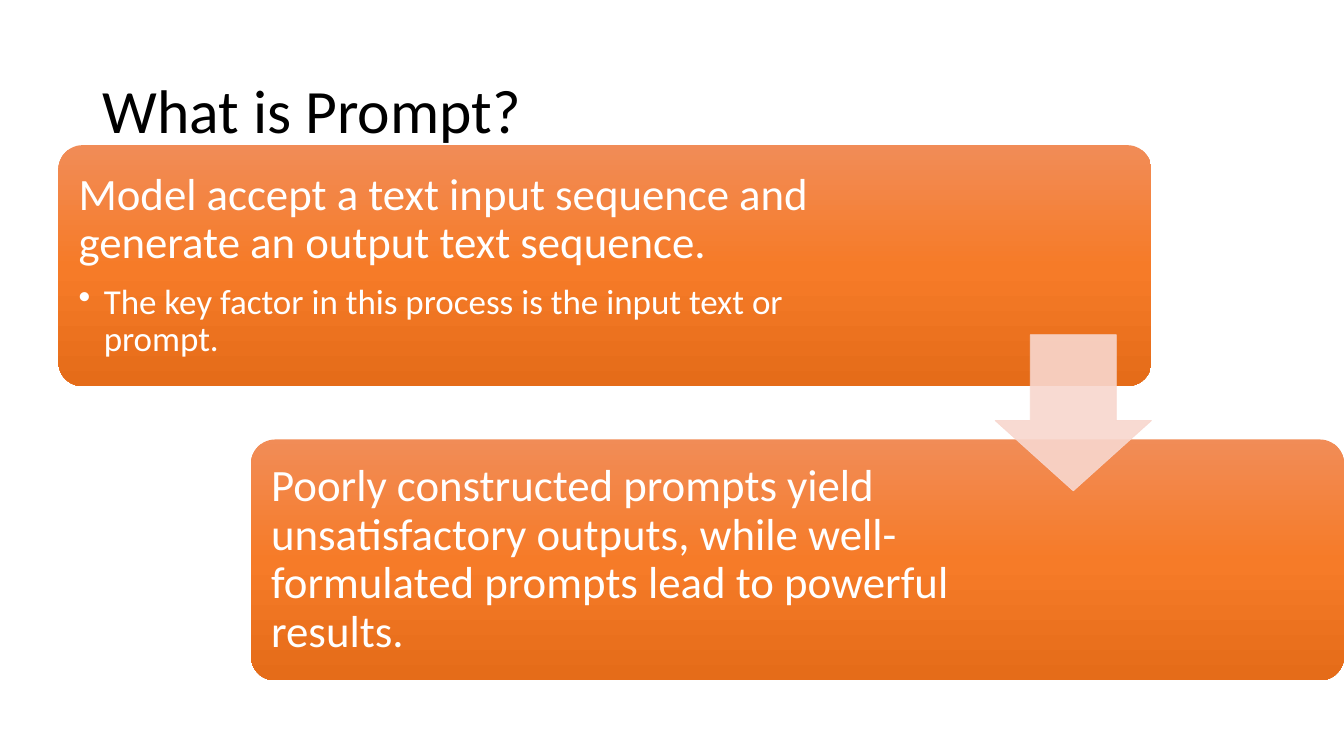
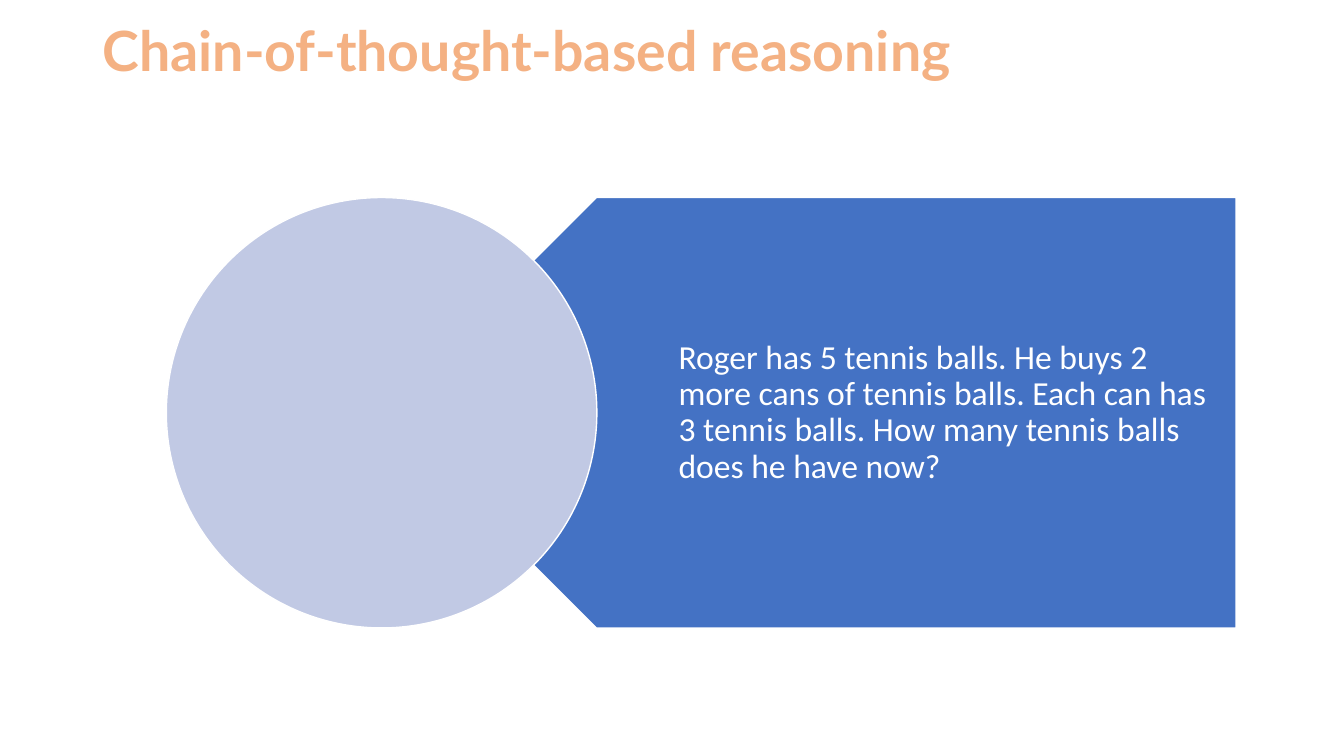
"""Build two slides on prompts and chain-of-thought reasoning."""
from copy import deepcopy
from dataclasses import dataclass

from lxml.etree import SubElement
from pptx import Presentation
from pptx.dml.color import RGBColor
from pptx.enum.shapes import MSO_SHAPE
from pptx.enum.text import MSO_ANCHOR, PP_ALIGN
from pptx.oxml.ns import qn
from pptx.util import Inches, Pt

COLORS = {
    "black": "000000", "white": "FFFFFF", "peach": "F4B183",
    "orange_light": "F18C57", "orange": "F67B28", "orange_dark": "E56C19",
    "arrow": "F8D7CE", "blue": "4472C4", "circle": "C1C9E4",
}
CARD_GRADIENT = ("orange_light", "orange", "orange_dark")
CARD_SIZE = (10.84, 2.39)
TITLE_INSETS = (0.1, 0.05, 0.1, 0.05)


@dataclass(frozen=True)
class TextLine:
    text: str
    size: float
    color: str = "white"
    font: str = "Calibri"
    bold: bool = False
    bullet: bool = False
    space_after: float = 0


@dataclass(frozen=True)
class Card:
    left: float
    top: float
    right_inset: float
    lines: tuple[TextLine, ...]


CARDS = (
    Card(0.58, 1.44, 2.46, (
        TextLine("Model accept a text input sequence and generate an output "
                 "text sequence.", 32, space_after=11),
        TextLine("The key factor in this process is the input text or prompt.",
                 25, bullet=True),
    )),
    Card(2.49, 4.36, 3.59, (
        TextLine("Poorly constructed prompts yield unsatisfactory outputs, "
                 "while well-formulated prompts lead to powerful results.", 32),
    )),
)


def rgb(name: str) -> RGBColor:
    return RGBColor.from_string(COLORS[name])


def set_all(target, values: dict) -> None:
    for name, value in values.items():
        setattr(target, name, value)


def add_bullet(paragraph) -> None:
    properties = paragraph._p.get_or_add_pPr()
    properties.set("marL", str(Inches(0.25)))
    properties.set("indent", str(Inches(-0.25)))
    SubElement(properties, qn("a:buChar")).set("char", "•")


def write_lines(shape, lines: tuple[TextLine, ...], insets: tuple) -> None:
    left, top, right, bottom = map(Inches, insets)
    frame = shape.text_frame
    set_all(frame, {
        "word_wrap": True, "vertical_anchor": MSO_ANCHOR.MIDDLE,
        "margin_left": left, "margin_top": top,
        "margin_right": right, "margin_bottom": bottom,
    })
    for index, line in enumerate(lines):
        paragraph = frame.add_paragraph() if index else frame.paragraphs[0]
        set_all(paragraph, {
            "text": line.text, "alignment": PP_ALIGN.LEFT,
            "line_spacing": 0.9, "space_after": Pt(line.space_after),
        })
        if line.bullet:
            add_bullet(paragraph)
        font = paragraph.runs[0].font
        set_all(font, {"name": line.font, "size": Pt(line.size), "bold": line.bold})
        font.color.rgb = rgb(line.color)


def add_text(slide, box: tuple, line: TextLine, insets: tuple) -> None:
    write_lines(slide.shapes.add_textbox(*map(Inches, box)), (line,), insets)


def add_figure(slide, kind: MSO_SHAPE, box: tuple, fill: str | None = None,
               line: str | None = None, width: float = 1):
    shape = slide.shapes.add_shape(kind, *map(Inches, box))
    shape.shadow.inherit = False
    if fill:
        shape.fill.solid()
        shape.fill.fore_color.rgb = rgb(fill)
    if line:
        shape.line.color.rgb = rgb(line)
        shape.line.width = Pt(width)
    else:
        shape.line.fill.background()
    return shape


def fill_gradient(shape, names: tuple[str, ...]) -> None:
    shape.fill.gradient()
    shape.fill.gradient_angle = 270
    stop_list = shape._element.spPr.find(".//" + qn("a:gsLst"))
    stop_list.append(deepcopy(stop_list[-1]))
    for index, (stop, name) in enumerate(zip(shape.fill.gradient_stops, names)):
        stop.position = index / (len(names) - 1)
        stop.color.rgb = rgb(name)


def set_opacity(shape, percent: int) -> None:
    for color in shape._element.spPr.iter(qn("a:srgbClr")):
        SubElement(color, qn("a:alpha")).set("val", str(percent * 1000))


def add_card(slide, card: Card) -> None:
    shape = add_figure(slide, MSO_SHAPE.ROUNDED_RECTANGLE,
                       (card.left, card.top, *CARD_SIZE))
    shape.adjustments[0] = 0.1
    fill_gradient(shape, CARD_GRADIENT)
    write_lines(shape, card.lines, (0.13, 0.13, card.right_inset, 0.13))


def add_titled_slide(presentation, title: TextLine, top: float, height: float):
    slide = presentation.slides.add_slide(presentation.slide_layouts[6])
    add_text(slide, (0.92, top, 11.5, height), title, TITLE_INSETS)
    return slide


def build_prompt_slide(presentation) -> None:
    title = TextLine("What is Prompt?", 44, "black")
    slide = add_titled_slide(presentation, title, 0.4, 1.45)
    for card in CARDS:
        add_card(slide, card)
    arrow = add_figure(slide, MSO_SHAPE.DOWN_ARROW, (9.87, 3.32, 1.55, 1.55),
                       "arrow", "arrow", 0.5)
    arrow.adjustments[0] = 0.55
    arrow.adjustments[1] = 0.45
    set_opacity(arrow, 90)


def build_reasoning_slide(presentation) -> None:
    title = TextLine("Chain-of-thought-based reasoning", 39.6, "peach", "Lato", True)
    slide = add_titled_slide(presentation, title, 0.13, 0.8)
    top, height = 1.96, 4.27
    panel = add_figure(slide, MSO_SHAPE.PENTAGON, (3.78, top, 8.48, height),
                       "blue", "white")
    panel.rotation = 180
    question = TextLine("Roger has 5 tennis balls. He buys 2 more cans of tennis "
                        "balls. Each can has 3 tennis balls. How many tennis "
                        "balls does he have now?", 24)
    add_text(slide, (4.85, top, 7.41, height), question, (1.88, 0.1, 0.19, 0.1))
    add_figure(slide, MSO_SHAPE.OVAL, (1.65, top, height, height), "circle", "white")


def main() -> None:
    presentation = Presentation()
    set_all(presentation, {"slide_width": Inches(13.33), "slide_height": Inches(7.5)})
    build_prompt_slide(presentation)
    build_reasoning_slide(presentation)
    presentation.save("out.pptx")


if __name__ == "__main__":
    main()
